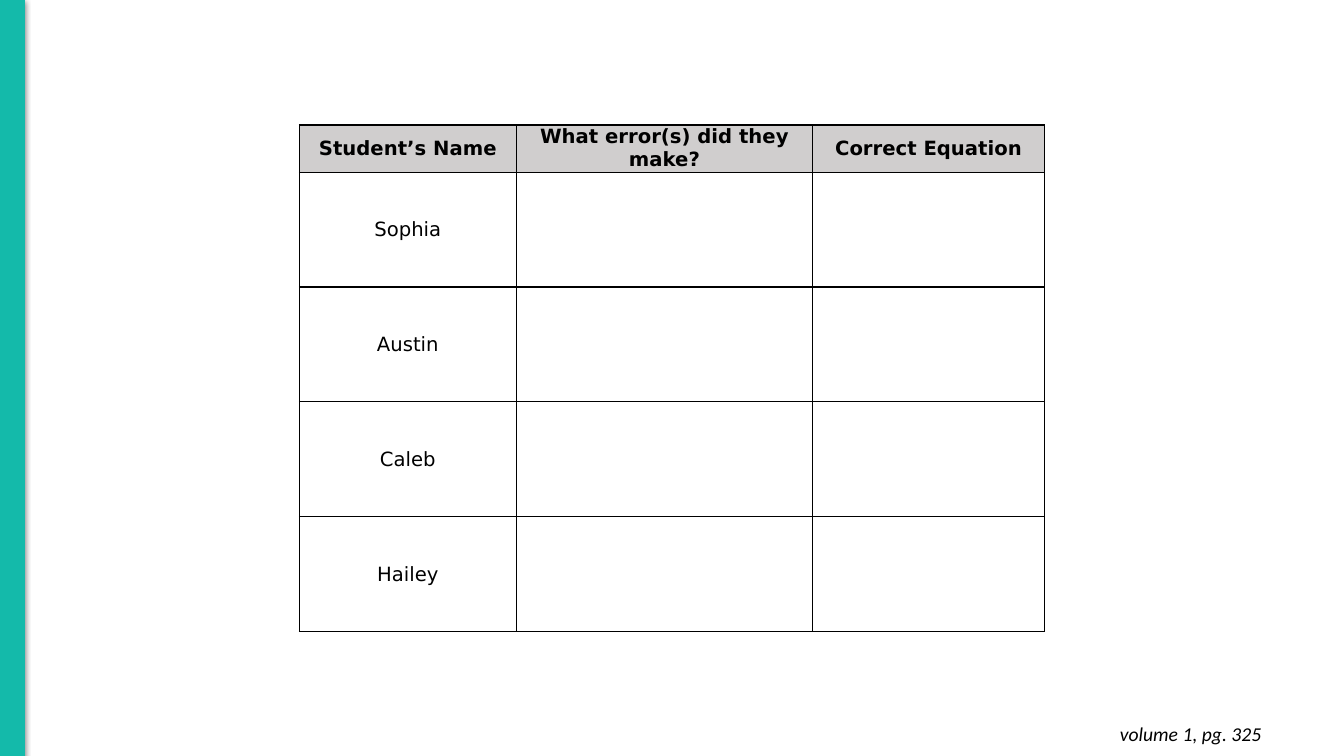
from lxml.etree import SubElement
from pptx import Presentation
from pptx.dml.color import RGBColor
from pptx.enum.shapes import MSO_SHAPE
from pptx.enum.text import MSO_ANCHOR, MSO_AUTO_SIZE, PP_ALIGN
from pptx.oxml import parse_xml
from pptx.oxml.ns import nsdecls, qn
from pptx.util import Inches, Pt

TEAL = "14BAAA"
GREY = "D0CECE"
BLACK = "000000"
HEADINGS = ["Student’s Name", "What error(s) did they make?", "Correct Equation"]
STUDENTS = ["Sophia", "Austin", "Caleb", "Hailey"]
COLUMN_WIDTHS = [2.15, 2.94, 2.3]
HEADING_HEIGHT = 0.38
STUDENT_HEIGHT = 1.14


def colour(value):
    return RGBColor.from_string(value)


def format_text(paragraph, font_name, alignment, bold=False, italic=False):
    paragraph.alignment = alignment
    font = paragraph.font
    for target in [font] + [span.font for span in paragraph.runs]:
        target.name = font_name
        target.size = Pt(14)
        target.bold = bold
        target.italic = italic
        target.color.rgb = colour(BLACK)


def add_shadow(shape):
    shape.shadow.inherit = False
    effects = shape._element.spPr.find(qn("a:effectLst"))
    shadow = SubElement(effects, qn("a:outerShdw"), blurRad=str(Pt(4.5)),
                        dist=str(Pt(1.5)), dir="5400000", rotWithShape="0")
    shade = SubElement(shadow, qn("a:srgbClr"), val=BLACK)
    SubElement(shade, qn("a:alpha"), val="50000")


def add_side_bar(page):
    bar = page.shapes.add_shape(MSO_SHAPE.RECTANGLE, 0, 0, Inches(0.24), Inches(7.51))
    bar.fill.solid()
    bar.fill.fore_color.rgb = colour(TEAL)
    bar.line.color.rgb = colour(TEAL)
    bar.line.width = Pt(0.75)
    add_shadow(bar)


def add_page_reference(page, text):
    box = page.shapes.add_textbox(Inches(9.73), Inches(7.06), Inches(2.88), Inches(0.44))
    frame = box.text_frame
    frame.word_wrap = True
    frame.auto_size = MSO_AUTO_SIZE.SHAPE_TO_FIT_TEXT
    frame.margin_left = frame.margin_right = Inches(0.1)
    frame.margin_top = frame.margin_bottom = Inches(0.1)
    frame.text = text
    format_text(frame.paragraphs[0], "Calibri", PP_ALIGN.RIGHT, italic=True)


def add_borders(cell):
    properties = cell._tc.get_or_add_tcPr()
    for side in ("lnL", "lnR", "lnT", "lnB"):
        properties.append(parse_xml(
            f'<a:{side} {nsdecls("a")} w="{Pt(1)}"><a:solidFill>'
            f'<a:srgbClr val="{BLACK}"/></a:solidFill></a:{side}>'))


def format_cell(cell, text, heading):
    cell.text = text
    cell.vertical_anchor = MSO_ANCHOR.MIDDLE
    cell.margin_left = cell.margin_right = Inches(0.04)
    cell.margin_top = cell.margin_bottom = 0
    format_text(cell.text_frame.paragraphs[0], "DejaVu Sans", PP_ALIGN.CENTER, bold=heading)
    add_borders(cell)
    if heading:
        cell.fill.solid()
        cell.fill.fore_color.rgb = colour(GREY)
    else:
        cell.fill.background()


def add_error_table(page):
    rows = [HEADINGS] + [[student, "", ""] for student in STUDENTS]
    heights = [HEADING_HEIGHT] + [STUDENT_HEIGHT] * len(STUDENTS)
    table = page.shapes.add_table(
        len(rows), len(HEADINGS), Inches(2.97), Inches(1.24),
        Inches(sum(COLUMN_WIDTHS)), Inches(sum(heights))).table
    table.horz_banding = False
    for column, width in zip(table.columns, COLUMN_WIDTHS):
        column.width = Inches(width)
    for index, (row, height) in enumerate(zip(table.rows, heights)):
        row.height = Inches(height)
        for cell, text in zip(row.cells, rows[index]):
            format_cell(cell, text, heading=index == 0)


def main():
    deck = Presentation()
    deck.slide_width = Inches(13.33)
    deck.slide_height = Inches(7.5)
    page = deck.slides.add_slide(deck.slide_layouts[6])
    add_side_bar(page)
    add_page_reference(page, "volume 1, pg. 325")
    add_error_table(page)
    deck.save("out.pptx")


if __name__ == "__main__":
    main()
